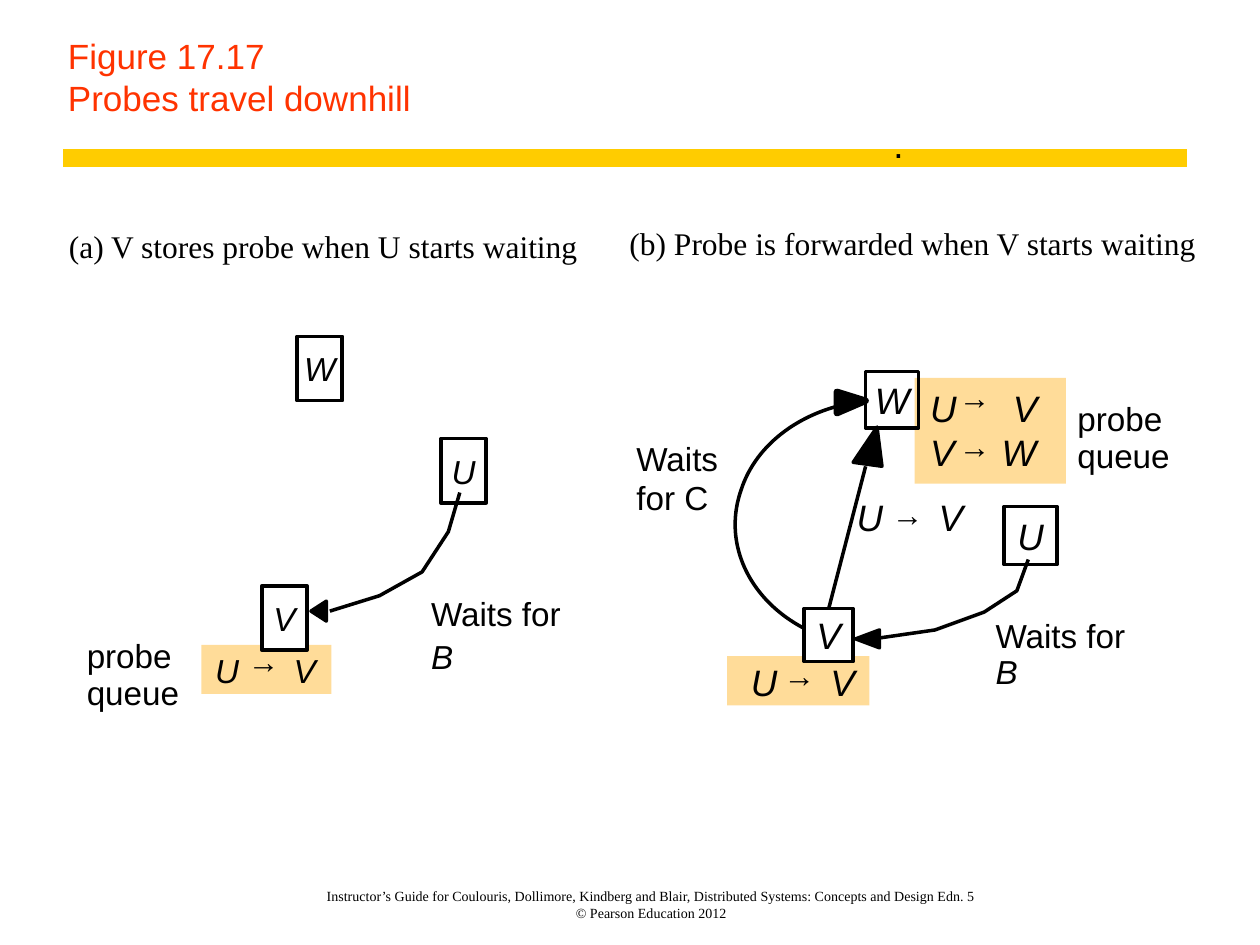
"""Build the slide on probes travelling downhill through a wait-for graph."""
from pptx import Presentation
from pptx import util as u
from pptx.dml.color import RGBColor
from pptx.enum import shapes, text
from pptx.oxml import ns, xmlchemy

COLOURS = {name: RGBColor.from_string(value) for name, value in {
    "ink": "000000", "title": "FF3300", "rule": "FFCC00",
    "queue": "FFDC99", "paper": "FFFFFF"}.items()}
SANS, SERIF = "Arial", "Times New Roman"


def write(frame, lines, size, font=SANS, italic=(), leading=0):
    frame.margin_left = frame.margin_top = frame.margin_right = frame.margin_bottom = 0
    frame.word_wrap = False
    frame.text = "\n".join(lines)
    for number, paragraph in enumerate(frame.paragraphs):
        paragraph.font.size = u.Pt(size)
        paragraph.font.name = font
        paragraph.font.italic = lines[number] in italic
        paragraph.font.color.rgb = COLOURS["ink"]
        if number and leading:
            paragraph.line_spacing = u.Pt(leading)


def draw(points, closed=False, width=2):
    corners = [(u.Cm(x), u.Cm(y)) for x, y in points]
    builder = slide.shapes.build_freeform(*corners[0])
    builder.add_line_segments(corners[1:], close=closed)
    outline = builder.convert_to_shape()
    outline.shadow.inherit = False
    outline.line.color.rgb = COLOURS["ink"]
    outline.line.width = u.Pt(width)
    if closed:
        outline.fill.solid()
        outline.fill.fore_color.rgb = COLOURS["ink"]
    else:
        outline.fill.background()
    return outline


deck = Presentation()
deck.slide_width, deck.slide_height = u.Cm(25.4), u.Cm(19.05)
slide = deck.slides.add_slide(deck.slide_layouts[5])

title = slide.shapes.title
title.left, title.top, title.width, title.height = u.Cm(1.12), u.Cm(0), u.Cm(22.78), u.Cm(2.54)
heading = title.text_frame
heading.auto_size = text.MSO_AUTO_SIZE.NONE
heading.vertical_anchor = text.MSO_ANCHOR.BOTTOM
heading.margin_left = u.Cm(0.25)
heading.margin_top = heading.margin_bottom = u.Cm(0.15)
heading.text = "Figure 17.17\vProbes travel downhill"
heading_line = heading.paragraphs[0]
heading_line.alignment = text.PP_ALIGN.LEFT
heading_line.font.size = u.Pt(20)
heading_line.font.name = SANS
heading_line.font.color.rgb = COLOURS["title"]

credit = slide.shapes.add_textbox(u.Cm(5.41), u.Cm(17.58), u.Cm(15.44), u.Cm(0.99)).text_frame
write(credit, ["Instructor’s Guide for Coulouris, Dollimore, Kindberg and Blair, "
               "Distributed Systems: Concepts and Design Edn. 5\v© Pearson Education 2012"], 8, SERIF)
credit.word_wrap = True
credit.vertical_anchor = text.MSO_ANCHOR.BOTTOM
credit.paragraphs[0].alignment = text.PP_ALIGN.CENTER

rule = slide.shapes.add_connector(shapes.MSO_CONNECTOR.STRAIGHT,
                                  u.Cm(1.27), u.Cm(3.18), u.Cm(23.93), u.Cm(3.18))
rule.line.color.rgb = COLOURS["rule"]
rule.line.width = u.Pt(10)

for left, top, width, height in [(4.06, 13, 2.62, 0.99), (18.44, 7.62, 3.05, 2.13),
                                 (14.66, 13.23, 2.87, 0.99)]:
    queue = slide.shapes.add_shape(shapes.MSO_SHAPE.RECTANGLE,
                                   u.Cm(left), u.Cm(top), u.Cm(width), u.Cm(height))
    queue.shadow.inherit = False
    queue.fill.solid()
    queue.fill.fore_color.rgb = COLOURS["queue"]
    queue.line.fill.background()

waits_for_c = draw([(16.97, 12.95), (15.39, 12.57), (14.48, 11.2), (14.94, 9.88),
                    (15.24, 8.94), (16.18, 8.26), (17.32, 8.1)])
for route in waits_for_c._element.iter(ns.qn("a:path")):
    segments = route.findall(ns.qn("a:lnTo"))
    for first in range(0, len(segments), 3):
        curve = xmlchemy.OxmlElement("a:cubicBezTo")
        route.append(curve)
        for segment in segments[first:first + 3]:
            curve.append(segment[0])
            route.remove(segment)

processes = {}
for panel, name, left, top, width, height, size, filled in [
        ("a", "W", 5.99, 6.78, 0.91, 1.3, 19, True),
        ("a", "V", 5.28, 11.81, 0.91, 1.3, 19, True),
        ("a", "U", 8.89, 8.84, 0.91, 1.3, 19, True),
        ("b", "W", 17.45, 7.49, 1.07, 1.14, 21, False),
        ("b", "V", 16.21, 12.27, 0.99, 1.07, 21, True),
        ("b", "U", 20.24, 10.21, 1.07, 1.17, 21, False)]:
    process = slide.shapes.add_shape(shapes.MSO_SHAPE.RECTANGLE,
                                     u.Cm(left), u.Cm(top), u.Cm(width), u.Cm(height))
    process.shadow.inherit = False
    process.line.color.rgb = COLOURS["ink"]
    process.line.width = u.Pt(2)
    if filled:
        process.fill.solid()
        process.fill.fore_color.rgb = COLOURS["paper"]
    else:
        process.fill.background()
    write(process.text_frame, [name], size, italic=name)
    process.text_frame.vertical_anchor = text.MSO_ANCHOR.MIDDLE
    process.text_frame.paragraphs[0].alignment = text.PP_ALIGN.CENTER
    processes[panel, name] = process

for wait in [[(9.27, 9.93), (9.04, 10.72), (8.51, 11.53), (7.65, 12.01), (6.65, 12.32)],
             [(20.73, 11.28), (20.5, 11.91), (19.84, 12.34), (18.85, 12.7), (17.6, 12.88)]]:
    draw(wait)
for arrowhead, weight in [([(6.58, 12.52), (6.27, 12.32), (6.58, 12.12)], 2),
                          ([(17.73, 13.06), (17.25, 12.88), (17.73, 12.7)], 2),
                          ([(17.45, 8.08), (16.87, 8.33), (16.87, 7.9)], 3.75),
                          ([(17.68, 8.61), (17.78, 9.4), (17.2, 9.32)], 2)]:
    draw(arrowhead, closed=True, width=weight)

probe = slide.shapes.add_connector(shapes.MSO_CONNECTOR.STRAIGHT,
                                   u.Cm(16.71), u.Cm(12.27), u.Cm(17.45), u.Cm(9.4))
probe.begin_connect(processes["b", "V"], 0)
probe.line.color.rgb = COLOURS["ink"]
probe.line.width = u.Pt(2)
for connector in (rule, probe):
    connector._element.spPr.append(xmlchemy.OxmlElement("a:effectLst"))

probe_queue, waits_for_b = ["probe", "queue"], ["Waits for", "B"]
labels = [(18.01, 2.46, 0.25, ["."], 21, SANS, 0), (18.08, 3, 0.1, ["."], 5, SANS, 0),
          (1.39, 4.57, 10.6, ["(a) V stores probe when U starts waiting"], 18, SERIF, 0),
          (12.69, 4.52, 11.75, ["(b) Probe is forwarded when V starts waiting"], 18, SERIF, 0),
          (1.75, 12.8, 2.2, probe_queue, 19, SANS, 21.6),
          (21.72, 8.03, 2.2, probe_queue, 19, SANS, 20.9),
          (8.69, 11.96, 3, waits_for_b, 19, SANS, 24.5),
          (20.07, 12.4, 3, waits_for_b, 19, SANS, 20.9),
          (12.83, 8.84, 2.2, ["Waits", "for C"], 19, SANS, 22.3)]
for source, target, top, source_left, arrow_left, target_left, arrow_top, size in [
        ("U", "V", 13.11, 4.34, 5, 5.92, 12.95, 19),
        ("U", "V", 13.31, 15.14, 15.8, 16.74, 13.23, 21),
        ("U", "V", 7.77, 18.75, 19.33, 20.42, 7.62, 21),
        ("V", "W", 8.66, 18.75, 19.33, 20.19, 8.61, 21),
        ("U", "V", 9.98, 17.27, 17.98, 18.92, 9.98, 21)]:
    labels += [(source_left, top, 0.75, [source], size, SANS, 0),
               (arrow_left, arrow_top, 0.75, ["→"], 18, SANS, 0),
               (target_left, top, 0.75, [target], size, SANS, 0)]
for left, top, width, lines, size, font, leading in labels:
    label = slide.shapes.add_textbox(u.Cm(left), u.Cm(top), u.Cm(width),
                                     u.Cm(len(lines) * size * 0.04))
    write(label.text_frame, lines, size, font, italic="UVWB", leading=leading)

deck.save("out.pptx")
